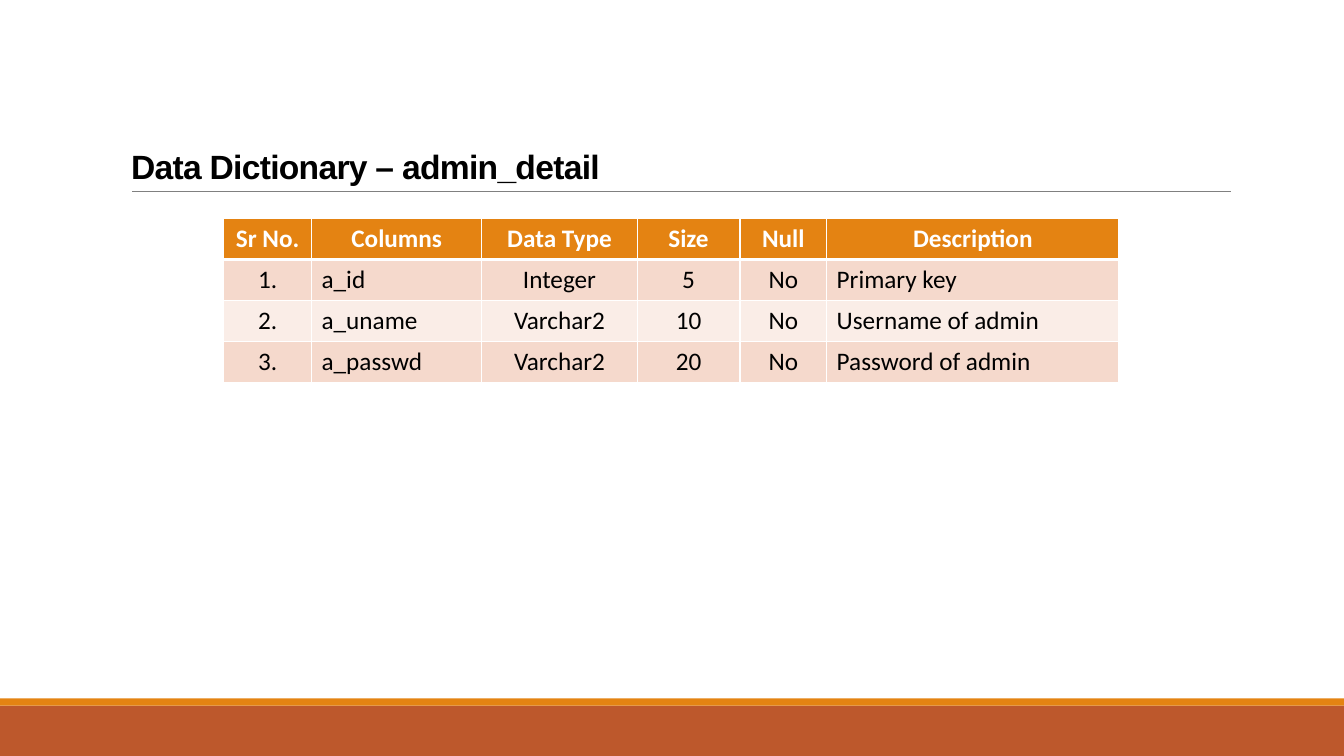
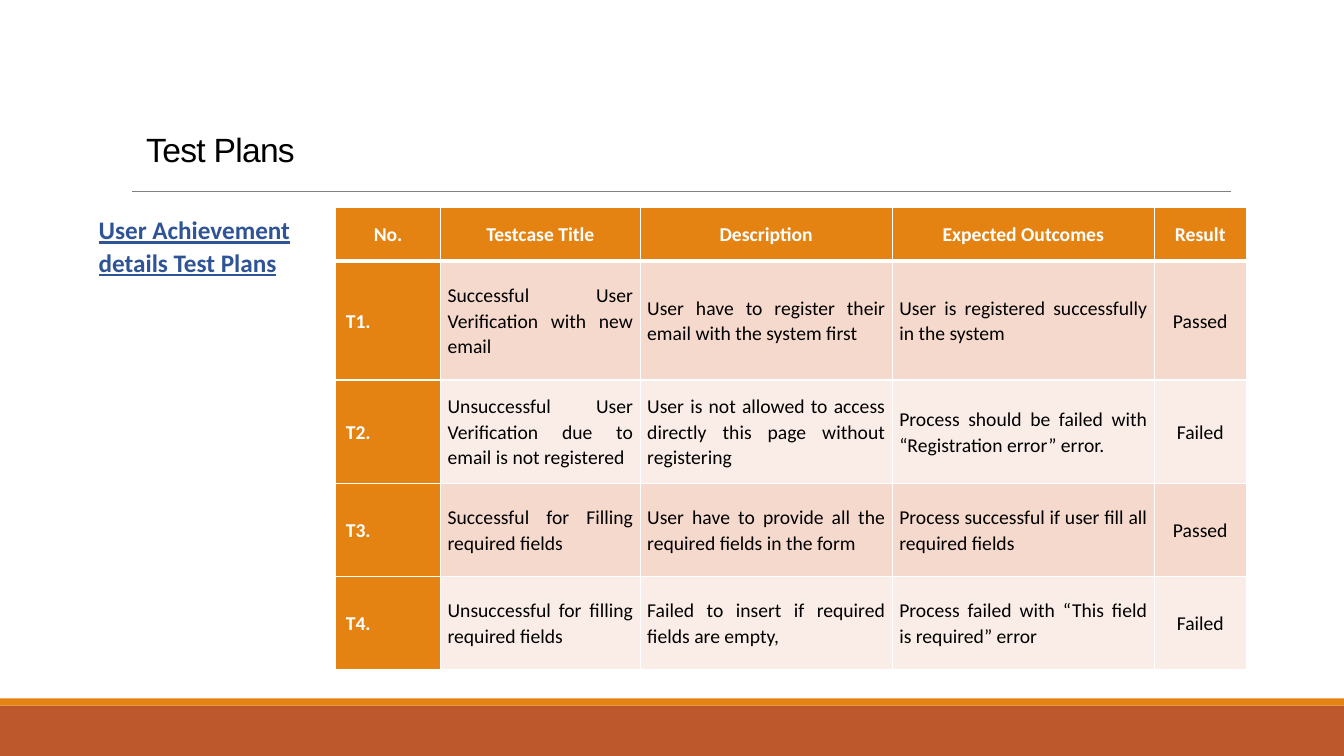
from lxml.etree import SubElement
from pptx import Presentation
from pptx.dml.color import RGBColor
from pptx.enum.shapes import MSO_CONNECTOR, MSO_SHAPE
from pptx.enum.text import MSO_ANCHOR, MSO_AUTO_SIZE, PP_ALIGN
from pptx.oxml.ns import qn
from pptx.util import Inches, Pt

# Colours and fonts
BLACK = RGBColor(0x00, 0x00, 0x00)
WHITE = RGBColor(0xFF, 0xFF, 0xFF)
ORANGE = RGBColor(0xE4, 0x83, 0x12)
RUST = RGBColor(0xBD, 0x58, 0x2C)
GREY = RGBColor(0x80, 0x80, 0x80)
BLUE = RGBColor(0x2F, 0x54, 0x96)
STRIPES = (RGBColor(0xF5, 0xD9, 0xCC), RGBColor(0xFA, 0xED, 0xE7))
HEAD_FONT, BODY_FONT = "Arial", "Calibri"

ALIGN = {"l": PP_ALIGN.LEFT, "c": PP_ALIGN.CENTER, "j": PP_ALIGN.JUSTIFY}

# Table content
ADMIN = [
    ("Sr No.", "Columns", "Data Type", "Size", "Null", "Description"),
    ("1.", "a_id", "Integer", "5", "No", "Primary key"),
    ("2.", "a_uname", "Varchar2", "10", "No", "Username of admin"),
    ("3.", "a_passwd", "Varchar2", "20", "No", "Password of admin"),
]
TESTS = [
    ("No.", "Testcase Title", "Description", "Expected Outcomes", "Result"),
    ("T1.", "Successful User Verification with new email",
     "User have to register their email with the system first",
     "User is registered successfully in the system", "Passed"),
    ("T2.", "Unsuccessful User Verification due to email is not registered",
     "User is not allowed to access directly this page without registering",
     "Process should be failed with “Registration error” error.", "Failed"),
    ("T3.", "Successful for Filling required fields",
     "User have to provide all the required fields in the form",
     "Process successful if user fill all required fields", "Passed"),
    ("T4.", "Unsuccessful for filling required fields",
     "Failed to insert if required fields are empty,",
     "Process failed with “This field is required” error", "Failed"),
]


def box(left, top, width, height):
    return [Inches(n) for n in (left, top, width, height)]


def write(para, text, size, color, font=BODY_FONT, bold=False):
    run = para.add_run()
    run.text = text
    run.font.size = Pt(size)
    run.font.name = font
    run.font.bold = bold
    run.font.color.rgb = color
    return run


# Shared frame
def add_band(slide, top, height, color):
    band = slide.shapes.add_shape(MSO_SHAPE.RECTANGLE, *box(0, top, 13.33, height))
    band.shadow.inherit = False
    band.fill.solid()
    band.fill.fore_color.rgb = color
    band.line.fill.background()
    return band


def add_rule(slide):
    rule = slide.shapes.add_connector(MSO_CONNECTOR.STRAIGHT, *box(1.31, 1.9, 12.21, 1.9))
    rule.line.color.rgb = GREY
    rule.line.width = Pt(0.5)
    SubElement(rule.element.spPr, qn("a:effectLst"))
    return rule


def frame_layout(slide):
    """Draw the bands and the rule, then hand them to the slide's layout."""
    parts = (add_band(slide, 7, 0.5, RUST), add_band(slide, 6.93, 0.07, ORANGE),
             add_rule(slide))
    for num, part in enumerate(parts, 20):
        part.element.xpath(".//p:cNvPr")[0].set("id", str(num))
        slide.slide_layout.shapes.element.append(part.element)


def add_title(slide, text, place, bold=False):
    title = slide.shapes.title
    title.left, title.top, title.width, title.height = box(*place)
    frame = title.text_frame
    frame.auto_size = MSO_AUTO_SIZE.NONE
    frame.vertical_anchor = MSO_ANCHOR.BOTTOM
    para = frame.paragraphs[0]
    para.alignment = PP_ALIGN.LEFT
    para.line_spacing = 0.85
    run = write(para, text, 24, BLACK, HEAD_FONT, bold)
    run.font._element.set("spc", "-50")


def add_label(slide, text, place):
    frame = slide.shapes.add_textbox(*box(*place)).text_frame
    frame.word_wrap = True
    para = frame.paragraphs[0]
    para.line_spacing = 1.07
    write(para, text, 18, BLUE, bold=True).font.underline = True


# Tables
def set_edges(cell, row):
    """White edges, thick between the header and the first body row."""
    thick = {(0, "B"), (1, "T")}
    props = cell._tc.get_or_add_tcPr()
    for side in "LRTB":
        width = Pt(3 if (row, side) in thick else 1)
        edge = SubElement(props, qn("a:ln" + side), w=str(width))
        fill = SubElement(edge, qn("a:solidFill"))
        SubElement(fill, qn("a:srgbClr"), val=str(WHITE))


def add_grid(slide, data, spot, cols, rows, aligns, size, dense=False):
    """Dense grids have tight cells, centred text and a coloured first column."""
    place = box(*spot, sum(cols), sum(rows))
    table = slide.shapes.add_table(len(rows), len(cols), *place).table
    for col, width in zip(table.columns, cols):
        col.width = Inches(width)
    for line, height in zip(table.rows, rows):
        line.height = Inches(height)
    for r, texts in enumerate(data):
        for c, text in enumerate(texts):
            cell = table.cell(r, c)
            strong = r == 0 or (dense and c == 0)
            set_edges(cell, r)
            cell.fill.solid()
            cell.fill.fore_color.rgb = ORANGE if strong else STRIPES[(r - 1) % 2]
            para = cell.text_frame.paragraphs[0]
            para.alignment = ALIGN["c" if r == 0 else aligns[c]]
            if dense:
                cell.vertical_anchor = MSO_ANCHOR.MIDDLE
                cell.margin_top = cell.margin_bottom = 0
                cell.margin_left = Inches(0.1 if r and c == 0 else 0.07)
                cell.margin_right = Inches(0.07)
                para.line_spacing = 1.07
            write(para, text, size, WHITE if strong else BLACK, bold=strong)


def main():
    deck = Presentation()
    deck.slide_width, deck.slide_height = Inches(13.33), Inches(7.5)
    layout = deck.slide_layouts[5]

    # Data dictionary
    slide = deck.slides.add_slide(layout)
    frame_layout(slide)
    add_title(slide, "Data Dictionary – admin_detail", (1.2, 0.31, 11, 1.59), bold=True)
    add_grid(slide, ADMIN, (2.22, 2.17), (0.87, 1.69, 1.54, 1.02, 0.86, 2.9),
             [0.4] * len(ADMIN), "clcccl", 18)

    # Test plans
    slide = deck.slides.add_slide(layout)
    add_title(slide, "Test Plans", (1.35, 1.12, 11, 0.61))
    add_label(slide, "User Achievement details Test Plans", (0.88, 2.06, 2.32, 0.73))
    add_grid(slide, TESTS, (3.33, 2.06), (1.04, 1.98, 2.5, 2.6, 0.91),
             (0.53, 1.18, 1.03, 0.92, 0.92), "ljjjc", 14, dense=True)

    deck.save("out.pptx")


if __name__ == "__main__":
    main()
